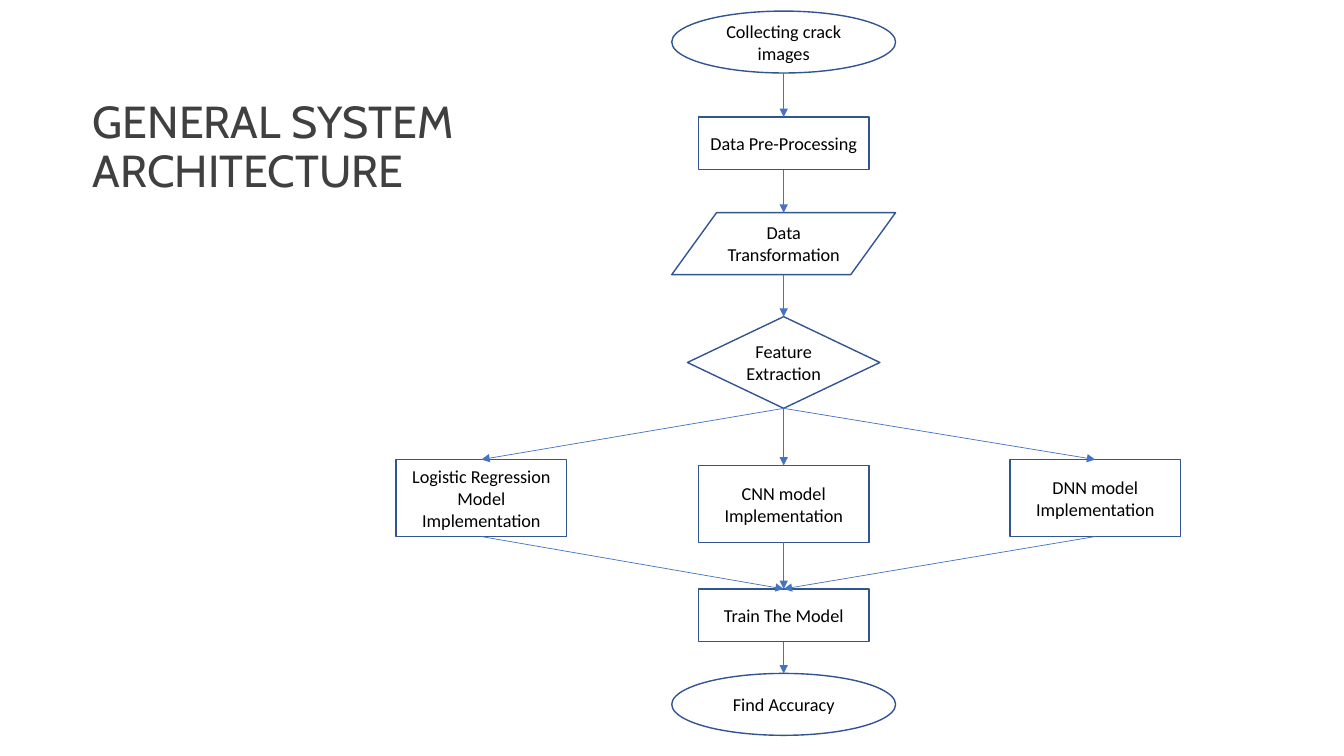
from dataclasses import dataclass
from typing import Any

from lxml.etree import SubElement
from pptx import Presentation
from pptx.dml.color import RGBColor
from pptx.enum.shapes import MSO_CONNECTOR, MSO_SHAPE
from pptx.enum.text import MSO_ANCHOR, MSO_AUTO_SIZE, PP_ALIGN
from pptx.oxml.ns import qn
from pptx.slide import Slide
from pptx.util import Cm, Pt

BLACK = RGBColor(0x00, 0x00, 0x00)
GREY = RGBColor(0x40, 0x40, 0x40)
NAVY = RGBColor(0x32, 0x54, 0x91)
BLUE = RGBColor(0x44, 0x72, 0xC4)

LEFT, MID, RIGHT = 12.13, 19.75, 27.6

TITLE_BOX = {"left": Cm(2.08), "top": Cm(2.39), "width": Cm(10.97), "height": Cm(3.3)}
TITLE_FRAME = {
    "word_wrap": True,
    "auto_size": MSO_AUTO_SIZE.NONE,
    "vertical_anchor": MSO_ANCHOR.TOP,
}
TITLE_PARA = {"alignment": PP_ALIGN.LEFT, "line_spacing": 0.9}
TITLE_FONT = {"name": "Cabin", "size": Pt(32)}
NODE_FRAME = {"word_wrap": True, "vertical_anchor": MSO_ANCHOR.MIDDLE}
NODE_PARA = {"alignment": PP_ALIGN.CENTER}
NODE_FONT = {"name": "Calibri", "size": Pt(13)}


@dataclass(frozen=True)
class Node:
    text: str
    kind: MSO_SHAPE
    mid: float
    top: float
    width: float
    height: float

    @property
    def base(self) -> float:
        return self.top + self.height


def set_all(item: Any, values: dict[str, Any]) -> None:
    for name, value in values.items():
        setattr(item, name, value)


def style(frame: Any, para: dict[str, Any], font: dict[str, Any], color: RGBColor) -> None:
    for line in frame.paragraphs:
        set_all(line, para)
        for run in line.runs:
            set_all(run.font, font)
            run.font.color.rgb = color


def draw_title(slide: Slide, text: str) -> None:
    title = slide.shapes.title
    set_all(title, TITLE_BOX)
    frame = title.text_frame
    frame.text = text
    set_all(frame, TITLE_FRAME)
    style(frame, TITLE_PARA, TITLE_FONT, GREY)


def draw_node(slide: Slide, node: Node) -> None:
    shape = slide.shapes.add_shape(
        node.kind,
        Cm(node.mid - node.width / 2),
        Cm(node.top),
        Cm(node.width),
        Cm(node.height),
    )
    shape.shadow.inherit = False
    shape.fill.background()
    shape.line.color.rgb = NAVY
    shape.line.width = Pt(1)
    frame = shape.text_frame
    frame.text = node.text
    set_all(frame, NODE_FRAME)
    style(frame, NODE_PARA, NODE_FONT, BLACK)


def draw_arrow(slide: Slide, start: Node, end: Node) -> None:
    arrow = slide.shapes.add_connector(
        MSO_CONNECTOR.STRAIGHT, Cm(start.mid), Cm(start.base), Cm(end.mid), Cm(end.top)
    )
    arrow.line.color.rgb = BLUE
    arrow.line.width = Pt(0.5)
    props = arrow.element.spPr
    SubElement(props.find(qn("a:ln")), qn("a:tailEnd"), type="triangle")
    SubElement(props, qn("a:effectLst"))


def main() -> None:
    deck = Presentation()
    deck.slide_width, deck.slide_height = Cm(33.87), Cm(19.05)
    slide = deck.slides.add_slide(deck.slide_layouts[5])
    draw_title(slide, "GENERAL SYSTEM ARCHITECTURE")

    box, oval = MSO_SHAPE.RECTANGLE, MSO_SHAPE.OVAL
    collect = Node("Collecting crack images", oval, MID, 0.28, 5.64, 1.56)
    prep = Node("Data Pre-Processing", box, MID, 2.95, 4.3, 1.33)
    change = Node("Data Transformation", MSO_SHAPE.FLOWCHART_DATA, MID, 5.36, 5.64, 1.56)
    extract = Node("Feature Extraction", MSO_SHAPE.DIAMOND, MID, 7.98, 4.85, 2.31)
    models = [
        Node("Logistic Regression Model\nImplementation", box, LEFT, 11.58, 4.3, 1.94),
        Node("CNN model Implementation", box, MID, 11.73, 4.3, 1.94),
        Node("DNN model Implementation", box, RIGHT, 11.58, 4.3, 1.94),
    ]
    train = Node("Train The Model", box, MID, 14.84, 4.3, 1.33)
    score = Node("Find Accuracy", oval, MID, 16.97, 5.64, 1.56)

    for node in [collect, prep, change, extract, *models, train, score]:
        draw_node(slide, node)

    links = [(collect, prep), (prep, change), (change, extract), (train, score)]
    for model in models:
        links += [(extract, model), (model, train)]
    for start, end in links:
        draw_arrow(slide, start, end)

    deck.save("out.pptx")


if __name__ == "__main__":
    main()
